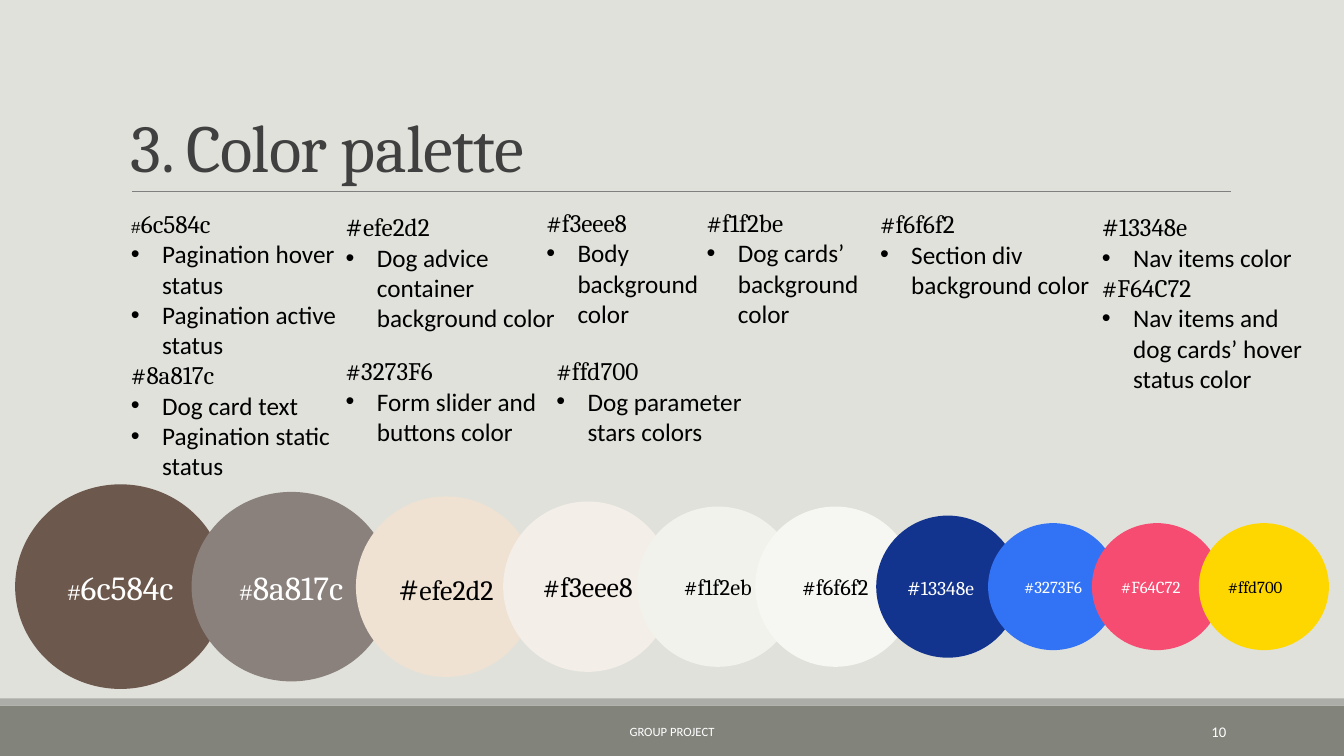
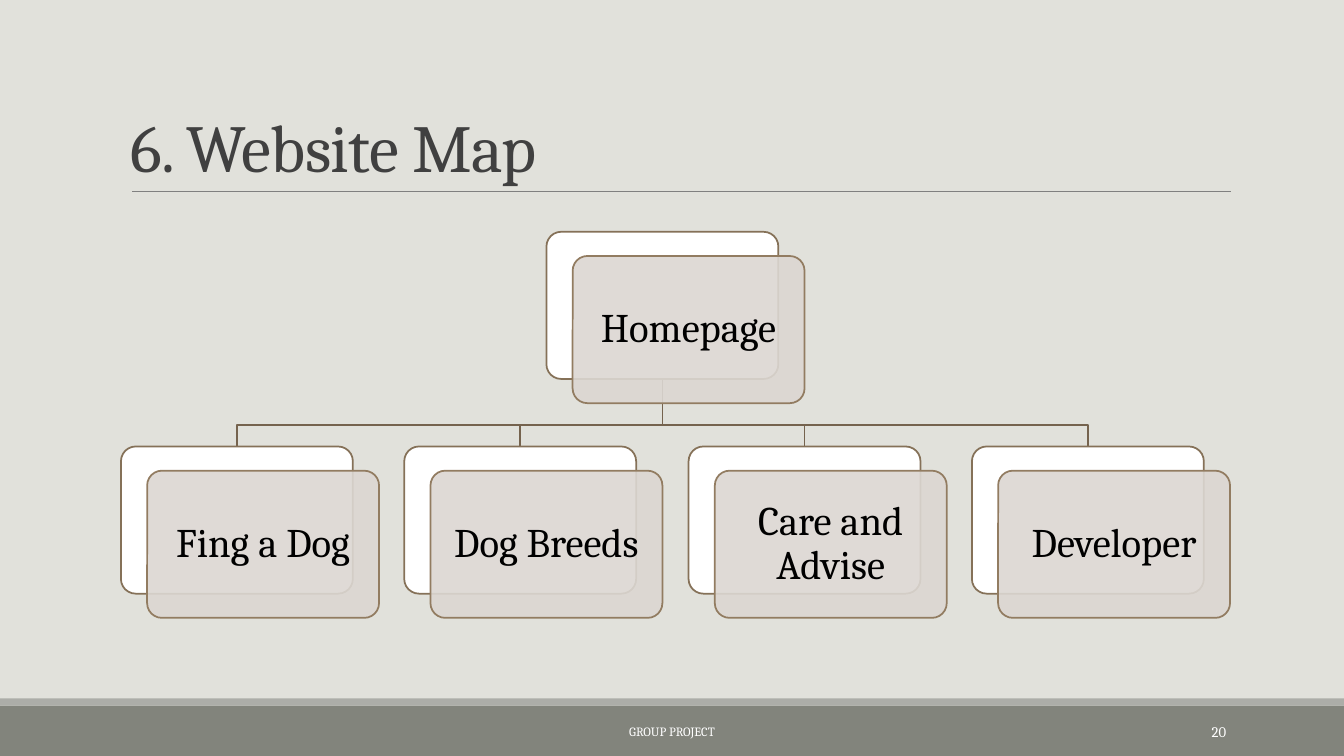
from lxml import etree
from pptx import Presentation
from pptx import util as u
from pptx.dml.color import RGBColor
from pptx.enum import shapes, text
from pptx.oxml import ns

PX = 9144  # EMU in one px; 100 px make an inch
SERIF, SANS, MONO = "Cambria", "Calibri", "Courier New"
LEFT, CENTER, RIGHT = text.PP_ALIGN.LEFT, text.PP_ALIGN.CENTER, text.PP_ALIGN.RIGHT
TOP, MIDDLE, BOTTOM = text.MSO_ANCHOR.TOP, text.MSO_ANCHOR.MIDDLE, text.MSO_ANCHOR.BOTTOM
RECT, OVAL = shapes.MSO_SHAPE.RECTANGLE, shapes.MSO_SHAPE.OVAL
ROUNDED = shapes.MSO_SHAPE.ROUNDED_RECTANGLE

COLORS = {
    "background": "E1E1DB", "footer": "82847C", "stripe": "ACADA8",
    "rule": "808080", "title": "404040", "black": "000000", "white": "FFFFFF",
    "link": "75634E", "back line": "857158", "card": "DCD7D2", "card line": "927C61",
    "brown": "6c584c", "taupe": "8a817c", "sand": "efe2d2", "cream": "f3eee8",
    "mist": "f1f2eb", "pearl": "f6f6f2", "navy": "13348e", "blue": "3273F6",
    "pink": "F64C72", "gold": "ffd700",
}


def px(length):
    return u.Emu(round(length * PX))


def color(name):
    return RGBColor.from_string(COLORS[name].upper())


class Slides:
    """Holds the deck, its shared style and the current page."""

    def __init__(self):
        self.deck = Presentation()
        self.deck.slide_width, self.deck.slide_height = px(1333), px(750)
        self.page = None

    def new_page(self, title, number, font):
        self.page = self.deck.slides.add_slide(self.deck.slide_layouts[6])
        fill = self.page.background.fill
        fill.solid()
        fill.fore_color.rgb = color("background")
        # Footer bands and title rule
        self.shape(RECT, 0, 700, 1333, 50, "footer")
        self.shape(RECT, 0, 693, 1333, 7, "stripe")
        self.rule(131, 190, 1221, 190)
        # Title
        box = self.text_box(120, 31, 1100, 159, BOTTOM)
        para = self.paragraph(box, [(title, 48, SERIF)], "title")
        para.line_spacing = 0.85
        para.runs[0].font._element.set("spc", "-50")
        # Footer text
        box = self.text_box(403, 706, 527, 40, MIDDLE)
        self.paragraph(box, [("GROUP PROJECT", 9, font)], "white", CENTER)
        box = self.text_box(1083, 706, 143, 40, MIDDLE)
        self.paragraph(box, [(str(number), 10.5, font)], "white", RIGHT)

    def outline(self, shape, line, width=1.25):
        shape.shadow.inherit = False
        if line:
            shape.line.color.rgb = color(line)
            shape.line.width = u.Pt(width)
        else:
            shape.line.fill.background()

    def shape(self, kind, left, top, width, height, fill, line=None, opacity=100):
        shape = self.page.shapes.add_shape(kind, px(left), px(top), px(width), px(height))
        shape.fill.solid()
        shape.fill.fore_color.rgb = color(fill)
        self.outline(shape, line)
        if opacity < 100:
            tint = shape.element.spPr.find(ns.qn("a:solidFill"))[0]
            etree.SubElement(tint, ns.qn("a:alpha"), val=str(opacity * 1000))
        shape.text_frame.word_wrap = True
        shape.text_frame.vertical_anchor = MIDDLE
        return shape

    def rule(self, x1, y1, x2, y2):
        line = self.page.shapes.add_connector(
            shapes.MSO_CONNECTOR.STRAIGHT, px(x1), px(y1), px(x2), px(y2))
        line.line.color.rgb = color("rule")
        line.line.width = u.Pt(0.5)
        etree.SubElement(line.element.spPr, ns.qn("a:effectLst"))

    def polyline(self, points):
        start, *rest = [(px(x), px(y)) for x, y in points]
        builder = self.page.shapes.build_freeform(*start)
        builder.add_line_segments(rest, close=False)
        line = builder.convert_to_shape()
        line.fill.background()
        self.outline(line, "link")

    def text_box(self, left, top, width, height, anchor=TOP):
        box = self.page.shapes.add_textbox(px(left), px(top), px(width), px(height))
        box.text_frame.word_wrap = True
        box.text_frame.vertical_anchor = anchor
        return box

    def paragraph(self, box, spans, ink="black", align=LEFT):
        """Fill the first paragraph, or add one, from (words, size, font) spans."""
        frame = box.text_frame
        para = frame.paragraphs[0]
        if para.runs:
            para = frame.add_paragraph()
        para.alignment = align
        for words, size, font in spans:
            span = para.add_run()
            span.text = words
            span.font.size, span.font.name = u.Pt(size), font
            span.font.color.rgb = color(ink)
        return para

    def bullet(self, box, words):
        props = self.paragraph(box, [(words, 18, SANS)])._p.get_or_add_pPr()
        props.set("marL", str(px(31)))
        props.set("indent", str(px(-31)))
        etree.SubElement(props, ns.qn("a:buFont"), typeface="Arial")
        etree.SubElement(props, ns.qn("a:buChar"), char="•")

    def code(self, box, code, size, hash_size=None, hash_font=SERIF, ink="black", align=LEFT):
        spans = [("#", hash_size or size, hash_font), (code, size, SERIF)]
        self.paragraph(box, spans, ink, align)

    def note(self, left, top, width, height, entries):
        """Colour codes, each followed by its uses."""
        box = self.text_box(left, top, width, height)
        box.text_frame.auto_size = text.MSO_AUTO_SIZE.SHAPE_TO_FIT_TEXT
        for code, hash_size, hash_font, uses in entries:
            self.code(box, code, 18, hash_size, hash_font)
            for use in uses:
                self.bullet(box, use)

    def swatch(self, name, left, width, height, size, ink, align=CENTER,
               hash_size=None, hash_font=SERIF):
        circle = self.shape(OVAL, left, 582 - height / 2, width, height, name)
        self.code(circle, COLORS[name], size, hash_size, hash_font, ink, align)

    def card(self, left, top, label):
        """A white card with a labelled, see-through card in front."""
        for shift, fill, line, opacity in ((0, "white", "back line", 100),
                                           (1, "card", "card line", 90)):
            card = self.shape(ROUNDED, left + 26 * shift, top + 24 * shift,
                              CARD_W, CARD_H, fill, line, opacity)
            card.adjustments[0] = 0.1
        frame = card.text_frame
        frame.margin_left = frame.margin_right = px(12)
        frame.margin_top = frame.margin_bottom = px(12)
        self.paragraph(card, [(label, 29, SERIF)], align=CENTER).line_spacing = 0.9


# Colour notes: left, top, width, height, entries
NOTES = [
    (333, 202, 233, 135, [("efe2d2", 20, SERIF, ["Dog advice container background color"])]),
    (691, 201, 174, 162, [("f1f2be", 18, SERIF, ["Dog cards’ background color"])]),
    (863, 202, 233, 101, [("f6f6f2", 18, SERIF, ["Section div background color"])]),
    (120, 202, 225, 283, [
        ("6c584c", 12, MONO, ["Pagination hover status", "Pagination active status"]),
        ("8a817c", 18, SERIF, ["Dog card text", "Pagination static status"])]),
    (532, 201, 174, 131, [("f3eee8", 18, SERIF, ["Body background color"])]),
    (1083, 202, 221, 195, [
        ("13348e", 20, SERIF, ["Nav items color"]),
        ("F64C72", 18, SERIF, ["Nav items and dog cards’ hover status color"])]),
    (333, 348, 233, 101, [("3273F6", 18, SERIF, ["Form slider and buttons color"])]),
    (542, 348, 233, 101, [("ffd700", 18, SERIF, ["Dog parameter stars colors"])]),
]

# Swatches: name, left, width, height, text size, ink, then alignment and hash style
SWATCHES = [
    ("brown", 15, 209, 203, 24, "white", CENTER, 16, MONO),
    ("taupe", 190, 198, 188, 24, "white", CENTER, 16, MONO),
    ("sand", 353, 179, 179, 20, "black", CENTER, 24),
    ("cream", 499, 168, 169, 20, "black"),
    ("mist", 632, 160, 159, 16, "black"),
    ("pearl", 749, 159, 159, 16, "black"),
    ("navy", 869, 142, 141, 14, "white", LEFT, 16),
    ("blue", 980, 129, 126, 12, "white"),
    ("pink", 1083, 129, 126, 12, "white", LEFT),
    ("gold", 1189, 129, 126, 12, "black", LEFT),
]

# Website map
CARD_W, CARD_H = 230, 146
HOME_TOP, CHILD_TOP, BEND = 230, 443, 422
SECTIONS = ["Fing a Dog", "Dog Breeds", "Care and Advise", "Developer"]


def color_palette(slides):
    slides.new_page("3. Color palette", 10, SANS)
    for note in NOTES:
        slides.note(*note)
    for swatch in SWATCHES:
        slides.swatch(*swatch)


def website_map(slides):
    slides.new_page("6. Website Map", 20, SERIF)
    lefts = [120 + round(844 * i / 3) for i in range(len(SECTIONS))]
    home_left = (lefts[0] + lefts[-1]) // 2
    stem = home_left + CARD_W // 2
    for left in reversed(lefts):
        middle = left + CARD_W // 2
        slides.polyline([(stem, HOME_TOP + CARD_H), (stem, BEND),
                         (middle, BEND), (middle, CHILD_TOP)])
    slides.card(home_left, HOME_TOP, "Homepage")
    for left, label in zip(lefts, SECTIONS):
        slides.card(left, CHILD_TOP, label)


def main():
    slides = Slides()
    color_palette(slides)
    website_map(slides)
    slides.deck.save("out.pptx")


if __name__ == "__main__":
    main()
